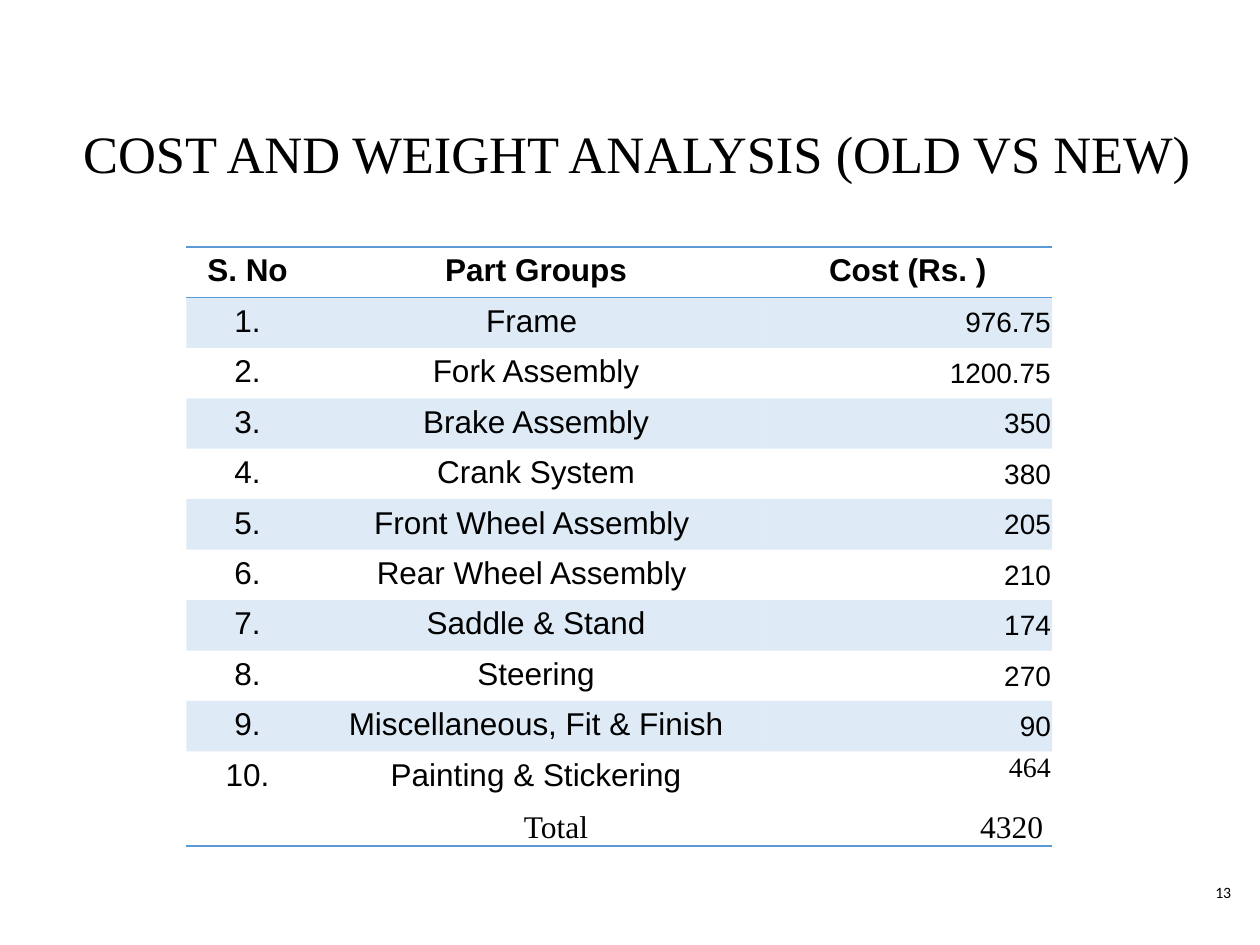
from dataclasses import dataclass

from lxml.etree import SubElement
from pptx import Presentation
from pptx.dml.color import RGBColor
from pptx.enum.text import MSO_ANCHOR as Anchor, MSO_AUTO_SIZE as AutoSize, PP_ALIGN as Align
from pptx.oxml.ns import qn
from pptx.util import Inches, Pt

BLACK = RGBColor(0x00, 0x00, 0x00)
BLUE = RGBColor(0x5B, 0x9B, 0xD5)
SERIF, SANS, SMALL = "Times New Roman", "Arial", "Calibri"
PLAIN_TABLE = "{2D5ABB26-0587-4C30-8999-92F81FD0307C}"
TITLE_ONLY = 5

HEADINGS = ("S. No", "Part Groups", "Cost (Rs. )")
COLUMN_WIDTHS = (0.97, 3.61, 2.29)
ROW_HEIGHT, LAST_ROW_HEIGHT = 0.38, 0.75


@dataclass
class Part:
    name: str
    cost: str
    cost_font: str = SANS
    cost_anchor: Anchor = Anchor.MIDDLE


PARTS = [
    Part("Frame ", "976.75"),
    Part("Fork Assembly", "1200.75"),
    Part("Brake Assembly", "350"),
    Part("Crank System", "380"),
    Part("Front Wheel Assembly ", "205"),
    Part("Rear Wheel Assembly ", "210"),
    Part("Saddle & Stand", "174"),
    Part("Steering", "270"),
    Part("Miscellaneous, Fit & Finish", "90"),
    Part("Painting & Stickering", "464", SERIF, Anchor.TOP),
]


def write(frame, text: str, *, size: float, font: str, align=Align.LEFT, bold=False):
    paragraph = frame.paragraphs[0]
    paragraph.alignment = align
    run = paragraph.add_run()
    run.text = text
    run.font.size, run.font.name, run.font.bold = Pt(size), font, bold
    run.font.color.rgb = BLACK
    return paragraph


def place(shape, left: float, top: float, width: float, height: float):
    shape.left, shape.top = Inches(left), Inches(top)
    shape.width, shape.height = Inches(width), Inches(height)


def set_margins(frame, inches: float):
    frame.margin_left = frame.margin_right = Inches(inches)
    frame.margin_top = frame.margin_bottom = Inches(inches)


def add_solid(parent, color: RGBColor):
    return SubElement(SubElement(parent, qn("a:solidFill")), qn("a:srgbClr"), val=str(color))


def rule(cell, *edges: str):
    """Draw blue lines on the given edges (lnT, lnB), before any fill is set."""
    for edge in edges:
        line = SubElement(cell._tc.get_or_add_tcPr(), qn(f"a:{edge}"), w=str(Pt(1)))
        add_solid(line, BLUE)


def tint(cell):
    """Fill the cell with blue at 20 % opacity."""
    color = add_solid(cell._tc.get_or_add_tcPr(), BLUE)
    SubElement(color, qn("a:alpha"), val="20000")


def add_right_tab(paragraph, inches: float):
    tabs = SubElement(paragraph._p.get_or_add_pPr(), qn("a:tabLst"))
    SubElement(tabs, qn("a:tab"), pos=str(Inches(inches)), algn="r")


def add_title(slide):
    title = slide.shapes.title
    place(title, 0.56, 0.92, 9.32, 0.63)
    frame = title.text_frame
    frame.auto_size, frame.vertical_anchor = AutoSize.NONE, Anchor.TOP
    set_margins(frame, 0.1)
    heading = write(frame, "COST AND WEIGHT ANALYSIS (OLD VS NEW)", size=30, font=SERIF)
    heading.line_spacing = 0.9


def add_cost_table(slide):
    height = ROW_HEIGHT * len(PARTS) + LAST_ROW_HEIGHT
    holder = slide.shapes.add_table(
        len(PARTS) + 1, len(HEADINGS), Inches(1.48), Inches(1.96),
        Inches(sum(COLUMN_WIDTHS)), Inches(height))
    costs = holder.table
    costs._tbl.tblPr.find(qn("a:tableStyleId")).text = PLAIN_TABLE
    for column, width in zip(costs.columns, COLUMN_WIDTHS):
        column.width = Inches(width)
    for row in costs.rows:
        row.height = Inches(ROW_HEIGHT)
    costs.rows[len(PARTS)].height = Inches(LAST_ROW_HEIGHT)

    for col, heading in enumerate(HEADINGS):
        cell = costs.cell(0, col)
        write(cell.text_frame, heading, size=18, font=SANS, align=Align.CENTER, bold=True)
        rule(cell, "lnT", "lnB")

    for number, part in enumerate(PARTS, start=1):
        cells = [costs.cell(number, col) for col in range(len(HEADINGS))]
        for cell, text in zip(cells, (f"{number}.", part.name)):
            write(cell.text_frame, text, size=18, font=SANS, align=Align.CENTER)
        cost = cells[-1]
        cost.margin_left = cost.margin_right = cost.margin_top = Inches(0.01)
        cost.margin_bottom = 0
        cost.vertical_anchor = part.cost_anchor
        write(cost.text_frame, part.cost, size=16, font=part.cost_font, align=Align.RIGHT)
        for cell in cells:
            if number == len(PARTS):
                rule(cell, "lnB")
            if number % 2:
                tint(cell)


def add_text_box(slide, left: float, top: float, width: float, height: float):
    box = slide.shapes.add_textbox(Inches(left), Inches(top), Inches(width), Inches(height))
    box.text_frame.word_wrap = True
    return box.text_frame


def main():
    deck = Presentation()
    deck.slide_width, deck.slide_height = Inches(10), Inches(7.5)
    slide = deck.slides.add_slide(deck.slide_layouts[TITLE_ONLY])

    add_title(slide)

    page = add_text_box(slide, 9.27, 6.8, 0.6, 0.57)
    page.vertical_anchor = Anchor.MIDDLE
    set_margins(page, 0.1)
    write(page, "13", size=9, font=SMALL, align=Align.RIGHT)

    add_cost_table(slide)

    total = add_text_box(slide, 4.06, 6.36, 4.88, 0.4)
    add_right_tab(write(total, "Total\t4320", size=18, font=SERIF), 4.12)

    deck.save("out.pptx")


if __name__ == "__main__":
    main()
